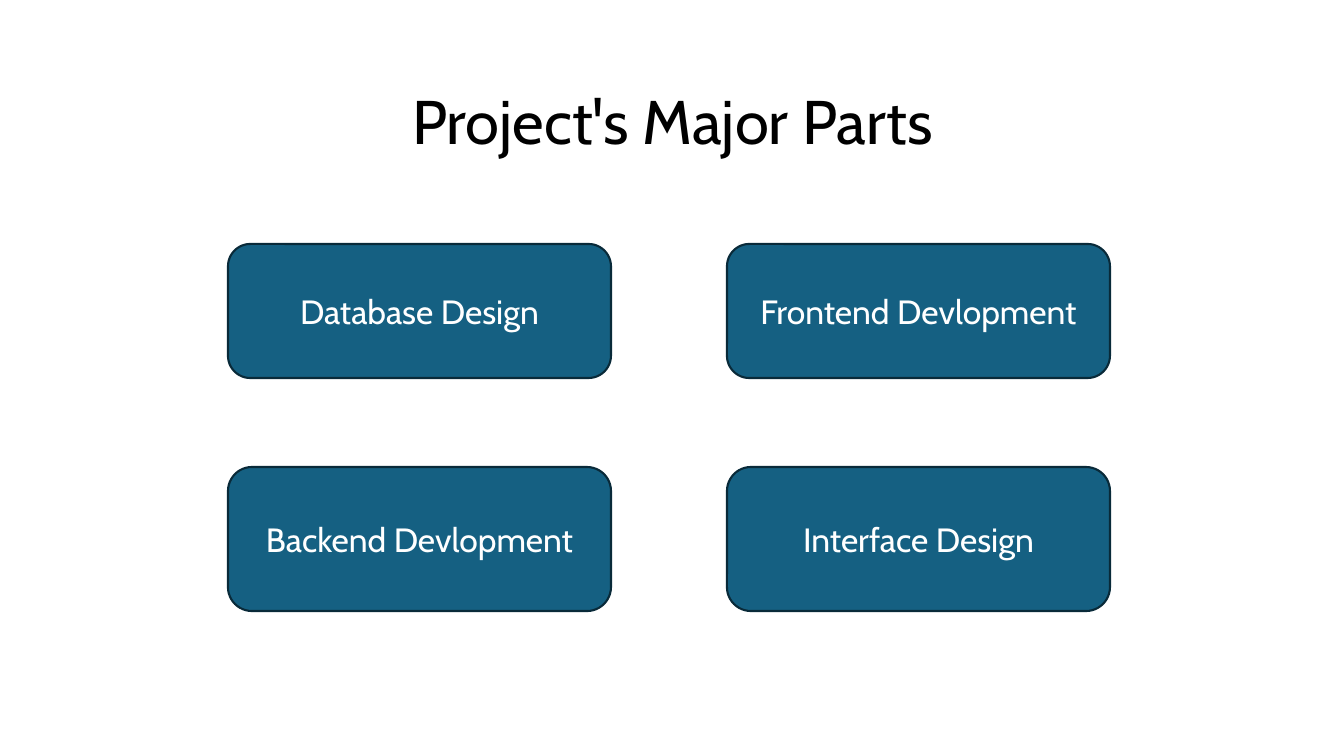
from pptx import Presentation
from pptx import util as u
from pptx.dml.color import RGBColor
from pptx.enum import shapes, text

BLACK = RGBColor(0x00, 0x00, 0x00)
WHITE = RGBColor(0xFF, 0xFF, 0xFF)
TEAL = RGBColor(0x15, 0x60, 0x82)
DARK_TEAL = RGBColor(0x09, 0x2A, 0x39)
PX_PER_INCH = 100.8


def px(length):
    return u.Inches(length / PX_PER_INCH)


def write_centred(box, wording, size, colour):
    frame = box.text_frame
    frame.word_wrap = True
    frame.vertical_anchor = text.MSO_ANCHOR.MIDDLE
    frame.text = wording
    para = frame.paragraphs[0]
    para.alignment = text.PP_ALIGN.CENTER
    span = para.runs[0]
    span.font.name = "Cabin"
    span.font.size = u.Pt(size)
    span.font.color.rgb = colour
    return para


deck = Presentation()
deck.slide_width = px(1344)
deck.slide_height = px(756)
page = deck.slides.add_slide(deck.slide_layouts[6])

title = page.shapes.add_textbox(px(93), px(52), px(1159), px(146))
title_para = write_centred(title, "Project's Major Parts", 44, BLACK)
title_para.line_spacing = 0.9

columns = [228, 727]
rows = [
    (244, 134, ["Database Design", "Frontend Devlopment"]),
    (467, 144, ["Backend Devlopment", "Interface Design"]),
]
for top, height, parts in rows:
    for left, part in zip(columns, parts):
        card = page.shapes.add_shape(
            shapes.MSO_SHAPE.ROUNDED_RECTANGLE, px(left), px(top), px(383), px(height)
        )
        card.shadow.inherit = False
        card.fill.solid()
        card.fill.fore_color.rgb = TEAL
        card.line.color.rgb = DARK_TEAL
        card.line.width = u.Pt(1.5)
        write_centred(card, part, 24, WHITE)

deck.save("out.pptx")
